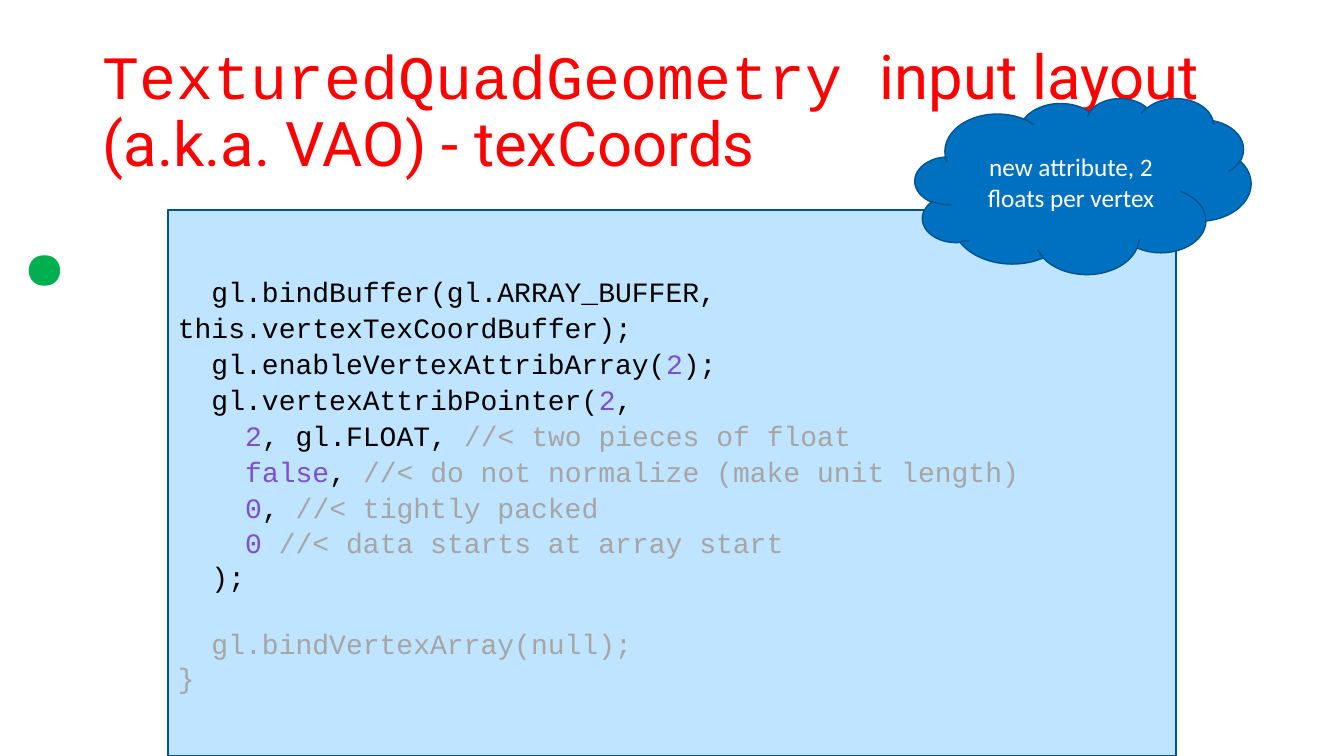
from pptx import Presentation, util as u
from pptx.dml.color import RGBColor
from pptx.enum import shapes, text

RED = RGBColor(0xFF, 0x00, 0x00)
BLACK = RGBColor(0x00, 0x00, 0x00)
WHITE = RGBColor(0xFF, 0xFF, 0xFF)
GREEN = RGBColor(0x00, 0xB0, 0x50)
PURPLE = RGBColor(0x7C, 0x4F, 0xCD)
GREY = RGBColor(0xA5, 0xA5, 0xA5)
PALE_BLUE = RGBColor(0xBF, 0xE4, 0xFF)
CLOUD_BLUE = RGBColor(0x00, 0x70, 0xC0)
EDGE_BLUE = RGBColor(0x00, 0x53, 0x8E)
MONO, SANS, BODY = "Courier New", "Roboto", "Calibri"

TITLE = [[("TexturedQuadGeometry ", MONO, 44, RED),
          ("input layout (a.k.a. VAO) - texCoords", SANS, 44, RED)]]
CLOUD = [[("new attribute, 2 floats per vertex", BODY, 18, WHITE)]]
DOT = [[(".", SANS, 200, GREEN)]]
CODE = [
    [("  gl.bindBuffer(gl.ARRAY_BUFFER, this.vertexTexCoordBuffer);", BLACK)],
    [("  gl.enableVertexAttribArray(", BLACK), ("2", PURPLE), (");", BLACK)],
    [("  gl.vertexAttribPointer(", BLACK), ("2", PURPLE), (",", BLACK)],
    [("    ", BLACK), ("2", PURPLE), (", gl.FLOAT, ", BLACK),
     ("//< two pieces of float", GREY)],
    [("    ", BLACK), ("false", PURPLE), (", ", BLACK),
     ("//< do not normalize (make unit length)", GREY)],
    [("    ", BLACK), ("0", PURPLE), (", ", BLACK), ("//< tightly packed", GREY)],
    [("    ", BLACK), ("0 ", PURPLE), ("//< data starts at array start", GREY)],
    [("  );", BLACK)],
    [("  gl.bindVertexArray(null);", GREY)],
    [("}", GREY)],
]
LOOSE_LINES = 7
AFTER_GAP = 8

TITLE_AT = (93, 40, 1159, 146)
CODE_AT = (168, 210, 1008, 546)
CLOUD_AT = (915, 98, 336, 176)
DOT_AT = (0, 0, 57, 350)
PX = 914400 / 100.8


def emu(lengths):
    return [u.Emu(round(n * PX)) for n in lengths]


def write(sp, lines, anchor, align=text.PP_ALIGN.LEFT):
    tf = sp.text_frame
    tf.word_wrap = True
    tf.vertical_anchor = anchor
    for i, runs in enumerate(lines):
        p = tf.paragraphs[0] if i == 0 else tf.add_paragraph()
        p.alignment = align
        for words, font, size, color in runs:
            r = p.add_run()
            r.text = words
            r.font.name = font
            r.font.size = u.Pt(size)
            r.font.color.rgb = color
    return tf


def add_text(s, at, lines, anchor):
    return write(s.shapes.add_textbox(*emu(at)), lines, anchor)


def add_box(s, kind, at, fill, lines, align):
    sp = s.shapes.add_shape(kind, *emu(at))
    sp.shadow.inherit = False
    sp.fill.solid()
    sp.fill.fore_color.rgb = fill
    sp.line.color.rgb = EDGE_BLUE
    sp.line.width = u.Pt(1)
    return write(sp, lines, text.MSO_ANCHOR.MIDDLE, align)


def main():
    prs = Presentation()
    prs.slide_width, prs.slide_height = emu((1344, 756))
    s = prs.slides.add_slide(prs.slide_layouts[6])

    tf = add_text(s, TITLE_AT, TITLE, text.MSO_ANCHOR.MIDDLE)
    tf.paragraphs[0].line_spacing = 0.9

    code = [[(words, MONO, 20, color) for words, color in line] for line in CODE]
    tf = add_box(s, shapes.MSO_SHAPE.RECTANGLE, CODE_AT, PALE_BLUE, code,
                 text.PP_ALIGN.LEFT)
    for p in tf.paragraphs[:LOOSE_LINES]:
        p.line_spacing = 1.07
    tf.paragraphs[AFTER_GAP].space_before = u.Pt(24)

    add_box(s, shapes.MSO_SHAPE.CLOUD, CLOUD_AT, CLOUD_BLUE, CLOUD,
            text.PP_ALIGN.CENTER)

    tf = add_text(s, DOT_AT, DOT, text.MSO_ANCHOR.TOP)
    tf.auto_size = text.MSO_AUTO_SIZE.SHAPE_TO_FIT_TEXT

    prs.save("out.pptx")


if __name__ == "__main__":
    main()
